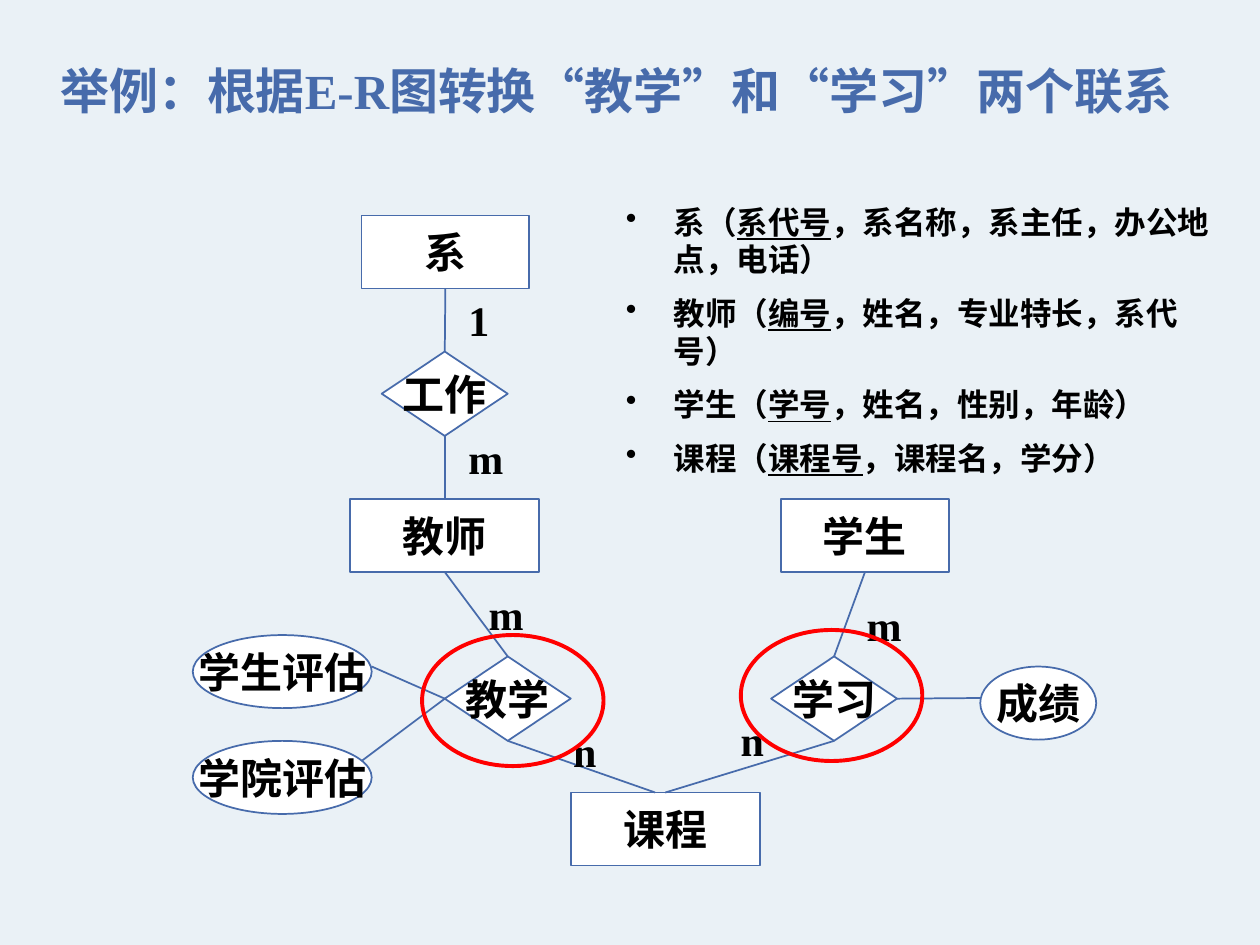
"""Build the E-R diagram slide on the teaching and learning relations."""
import pptx
import pptx.dml.color
import pptx.enum.lang
import pptx.enum.shapes
import pptx.enum.text
import pptx.oxml.ns
import pptx.util
from pptx.util import Inches

FONT = "Times New Roman"
BLUE = pptx.dml.color.RGBColor(0x47, 0x6B, 0xAB)
RED = pptx.dml.color.RGBColor(0xFF, 0x00, 0x00)
WHITE = pptx.dml.color.RGBColor(0xFF, 0xFF, 0xFF)
BLACK = pptx.dml.color.RGBColor(0x00, 0x00, 0x00)
PALE = pptx.dml.color.RGBColor(0xEA, 0xF1, 0xF6)

KIND = pptx.enum.shapes.MSO_SHAPE
ANCHOR = pptx.enum.text.MSO_ANCHOR
TOP, LEFT, BASE, RIGHT = range(4)

SCHEMAS = [
    ("系（", "系代号", "，系名称，系主任，办公地点，电话）"),
    ("教师（", "编号", "，姓名，专业特长，系代号）"),
    ("学生（", "学号", "，姓名，性别，年龄）"),
    ("课程（", "课程号", "，课程名，学分）"),
]


def add_run(para, text, size, color=BLACK, under=False):
    run = para.add_run()
    run.text = text
    font = run.font
    font.name = FONT
    font.size = pptx.util.Pt(size)
    font.bold = True
    font.color.rgb = color
    font.language_id = pptx.enum.lang.MSO_LANGUAGE_ID.SIMPLIFIED_CHINESE
    if under:
        font.underline = True


def add_box(slide, left, top, width, height):
    box = slide.shapes.add_textbox(
        Inches(left), Inches(top), Inches(width), Inches(height))
    box.text_frame.word_wrap = True
    return box.text_frame


def add_title(slide, text):
    frame = add_box(slide, 0.38, 0.43, 9.64, 0.57)
    frame.vertical_anchor = ANCHOR.BOTTOM
    add_run(frame.paragraphs[0], text, 28, BLUE)


def add_label(slide, text, left, top):
    frame = add_box(slide, left, top, 0.67, 0.5)
    add_run(frame.paragraphs[0], text, 24)


def add_shape(slide, kind, left, top, width, height, color, weight):
    shape = slide.shapes.add_shape(
        kind, Inches(left), Inches(top), Inches(width), Inches(height))
    shape.shadow.inherit = False
    shape.line.color.rgb = color
    shape.line.width = pptx.util.Pt(weight)
    return shape


def add_node(slide, kind, text, left, top, width, height=0.58):
    node = add_shape(slide, kind, left, top, width, height, BLUE, 1)
    node.fill.solid()
    node.fill.fore_color.rgb = WHITE
    frame = node.text_frame
    frame.word_wrap = False
    frame.vertical_anchor = ANCHOR.MIDDLE
    para = frame.paragraphs[0]
    para.alignment = pptx.enum.text.PP_ALIGN.CENTER
    add_run(para, text, 24)
    return node


def add_ring(slide, left, top):
    ring = add_shape(slide, KIND.OVAL, left, top, 1.44, 1.04, RED, 2.25)
    ring.fill.background()


def add_link(slide, start, end):
    """Join two ends, each a (shape, side) pair or an (x, y) point."""
    link = slide.shapes.add_connector(
        pptx.enum.shapes.MSO_CONNECTOR.STRAIGHT, 0, 0, 0, 0)
    if isinstance(start[0], float):
        link.begin_x, link.begin_y = map(Inches, start)
    else:
        link.begin_connect(*start)
    if isinstance(end[0], float):
        link.end_x, link.end_y = map(Inches, end)
    else:
        link.end_connect(*end)
    link.line.color.rgb = BLUE
    link.line.width = pptx.util.Pt(1)
    link._element.spPr.append(
        pptx.oxml.ns.qn("a:effectLst") and
        pptx.oxml.parse_xml('<a:effectLst %s/>' % pptx.oxml.ns.nsdecls("a")))


def add_list(slide, items):
    frame = add_box(slide, 4.87, 1.56, 5, 2.07)
    for index, (name, key, rest) in enumerate(items):
        para = frame.add_paragraph() if index else frame.paragraphs[0]
        props = para._p.get_or_add_pPr()
        props.set("marL", str(Inches(0.38)))
        props.set("indent", str(-Inches(0.38)))
        props.append(pptx.oxml.parse_xml(
            '<a:buChar %s char="•"/>' % pptx.oxml.ns.nsdecls("a")))
        if index:
            para.space_before = pptx.util.Pt(9)
        add_run(para, name, 18)
        add_run(para, key, 18, under=True)
        add_run(para, rest, 18)


def main():
    deck = pptx.Presentation()
    deck.slide_width, deck.slide_height = Inches(10), Inches(7.5)
    slide = deck.slides.add_slide(deck.slide_layouts[6])
    slide.background.fill.solid()
    slide.background.fill.fore_color.rgb = PALE

    add_title(slide, "举例：根据E-R图转换“教学”和“学习”两个联系")

    rect, oval, rhomb = KIND.RECTANGLE, KIND.OVAL, KIND.FLOWCHART_DECISION
    dept = add_node(slide, rect, "系", 2.87, 1.71, 1.33)
    staff = add_node(slide, rect, "教师", 2.78, 3.96, 1.5)
    pupil = add_node(slide, rect, "学生", 6.2, 3.96, 1.33)
    course = add_node(slide, rect, "课程", 4.53, 6.29, 1.5)
    work = add_node(slide, rhomb, "工作", 3.03, 2.79, 1, 0.67)
    teach = add_node(slide, rhomb, "教学", 3.53, 5.21, 1, 0.67)
    learn = add_node(slide, rhomb, "学习", 6.12, 5.21, 1, 0.67)
    add_node(slide, oval, "成绩", 7.78, 5.29, 0.92)
    add_node(slide, oval, "学生评估", 1.53, 5.04, 1.42)
    add_node(slide, oval, "学院评估", 1.53, 5.88, 1.42)

    for start, end in [
        ((dept, BASE), (work, TOP)),
        ((work, BASE), (staff, TOP)),
        ((staff, BASE), (teach, TOP)),
        ((teach, BASE), (5.2, 6.29)),
        ((pupil, BASE), (learn, TOP)),
        ((learn, BASE), (course, TOP)),
        ((2.95, 5.29), (teach, LEFT)),
        ((2.87, 6.04), (teach, LEFT)),
        ((learn, RIGHT), (7.78, 5.54)),
    ]:
        add_link(slide, start, end)

    for text, left, top in [
        ("1", 3.62, 2.29), ("m", 3.62, 3.38),
        ("m", 3.78, 4.62), ("n", 4.45, 5.71),
        ("m", 6.78, 4.71), ("n", 5.78, 5.62),
    ]:
        add_label(slide, text, left, top)

    add_list(slide, SCHEMAS)
    add_ring(slide, 3.35, 5.04)
    add_ring(slide, 5.88, 5)
    deck.save("out.pptx")


if __name__ == "__main__":
    main()
